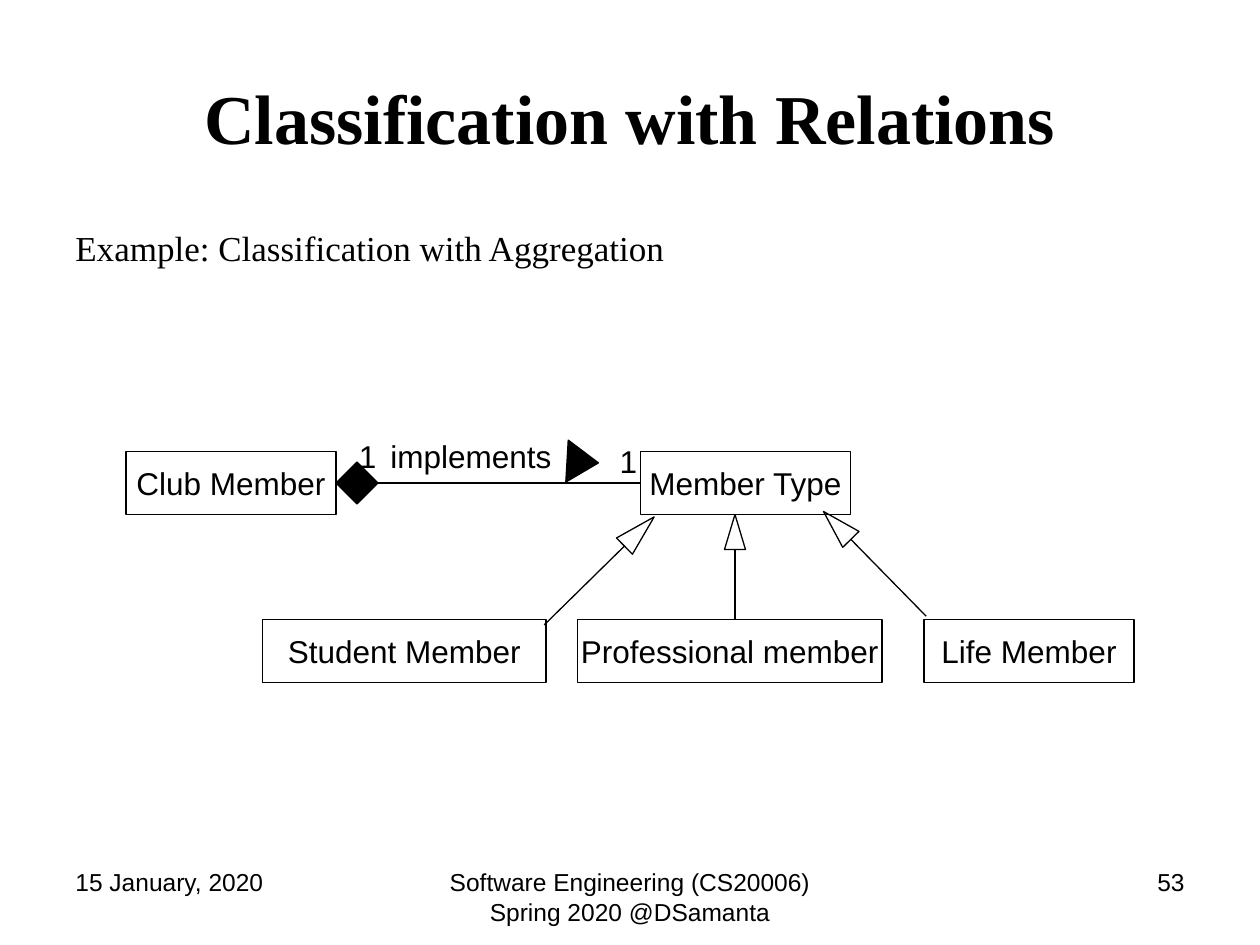
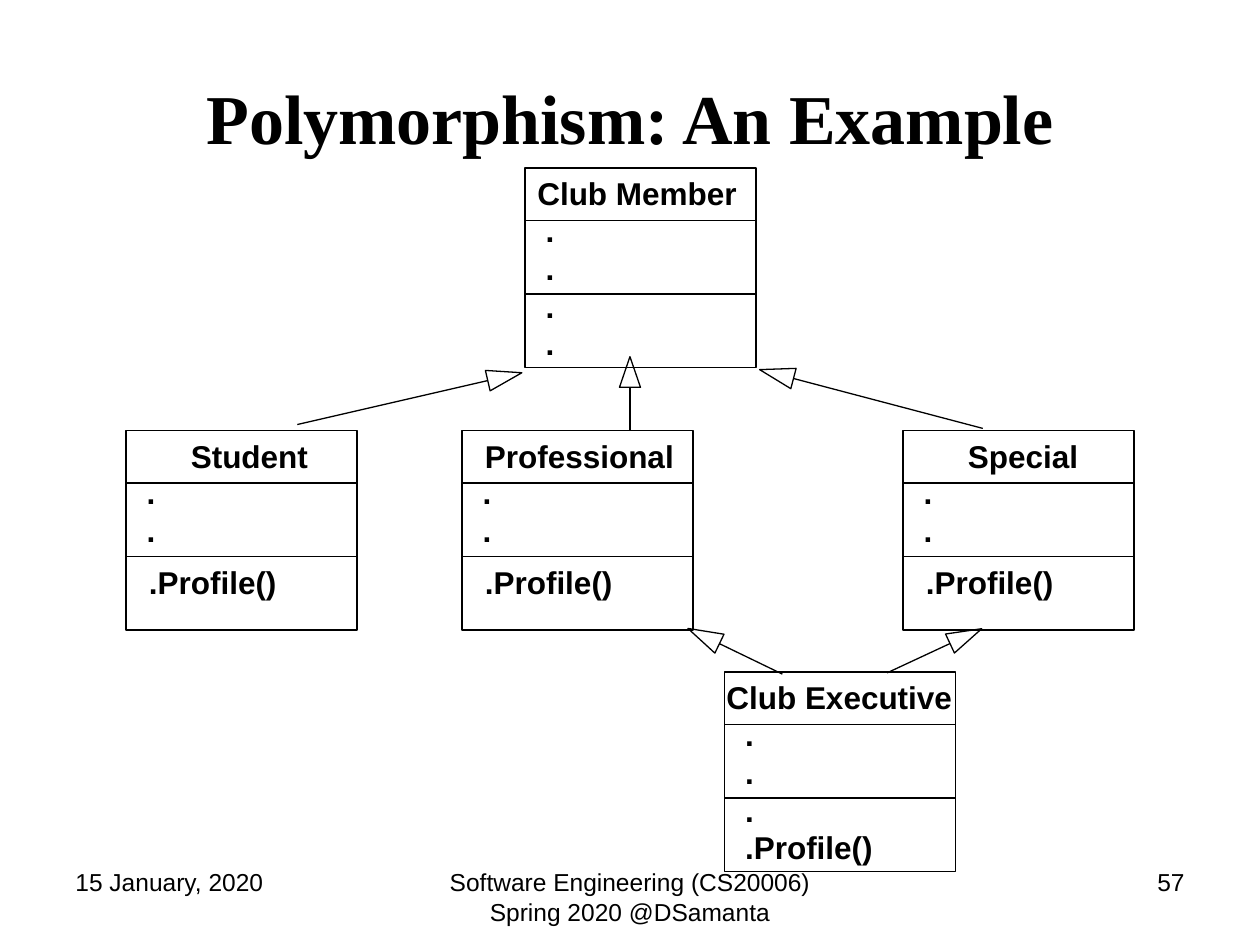
from math import atan2, degrees, hypot

from lxml.etree import SubElement
from pptx import Presentation
from pptx.dml.color import RGBColor
from pptx.enum.shapes import MSO_CONNECTOR, MSO_SHAPE
from pptx.enum.text import MSO_ANCHOR, MSO_AUTO_SIZE, PP_ALIGN
from pptx.oxml.ns import qn
from pptx.util import Pt

BLACK = RGBColor(0x00, 0x00, 0x00)
SANS, SERIF = "Arial", "Times New Roman"
LINE_WIDTH = 0.75

# Shared footer: left, width, alignment; None stands for the slide number
FOOTERS = [
    ("15 January, 2020", 36, 168, PP_ALIGN.LEFT),
    ("Software Engineering (CS20006) Spring 2020 @DSamanta", 246, 228, PP_ALIGN.CENTER),
    (None, 516, 168, PP_ALIGN.RIGHT),
]

# Relations slide: text, left, top, width
RELATION_BOXES = [
    ("Club Member", 72, 258, 120),
    ("Member Type", 366, 258, 120),
    ("Student Member", 150, 354, 162),
    ("Professional member", 330, 354, 174),
    ("Life Member", 528, 354, 120),
]
RELATION_BOX_HEIGHT = 36
# Text, left, top, width
RELATION_LABELS = [
    ("implements", 216, 246, 106.5),
    ("1", 347, 249, 24.5),
    ("1", 198, 246, 24.5),
]
# Tip, tail, head width, head length
RELATION_ARROWS = [
    ((420, 294), (420, 354), 12, 20),
    ((470.6, 292.3), (529.2, 352.1), 13, 22.3),
    ((373.8, 295.4), (311, 357.1), 13, 23.8),
]

# Polymorphism slide: name, left, top, name indent, name width, member texts
# Each member text: left offset, top offset, width, height, lines
DOTS = (4.7, 21, 19.5, 50.4, [".", "."])
PROFILE = (6, 72, 88, 29, [".Profile()"])
CLASSES = [
    ("Club Member", 300, 96, 0, 129.6, [(4.7, 21, 19.5, 93.6, ["."] * 4)]),
    ("Club Executive", 414, 384, -6, 144.7,
     [(4.7, 21, 88, 93.6, [".", ".", ".", ".Profile()"])]),
    ("Student", 72, 246, 30, 81.4, [DOTS, PROFILE]),
    ("Special", 516, 246, 30, 77.8, [DOTS, PROFILE]),
    ("Professional", 264, 246, 6, 122.4, [DOTS, PROFILE]),
]
CLASS_WIDTH, CLASS_HEIGHT = 132, 114
CLASS_DIVIDERS = (30, 72)
CLASS_ARROWS = [
    ((298.2, 213), (169.9, 242.6), 12, 20),
    ((393.1, 359.1), (447.1, 385.2), 12, 20),
    ((434.1, 211.2), (561.6, 244.8), 12, 20),
    ((360, 203.8), (360, 246), 12, 17.5),
    ((561, 359.3), (506.9, 384.5), 12, 20),
]


def write(shape, lines, size, font=SANS, bold=False, align=PP_ALIGN.LEFT):
    frame = shape.text_frame
    frame.text = "\n".join(lines)
    for para in frame.paragraphs:
        para.alignment = align
        for span in para.runs:
            span.font.size = Pt(size)
            span.font.name = font
            span.font.bold = bold
            span.font.color.rgb = BLACK
    return frame


def add_text(page, lines, left, top, width, height, size, **style):
    box = page.shapes.add_textbox(Pt(left), Pt(top), Pt(width), Pt(height))
    frame = write(box, lines, size, **style)
    frame.word_wrap = True
    return frame


def add_label(page, lines, left, top, width, height=29, bold=False):
    frame = add_text(page, lines, left, top, width, height, 18, bold=bold)
    frame.word_wrap = False
    frame.auto_size = MSO_AUTO_SIZE.SHAPE_TO_FIT_TEXT


def add_outline(page, kind, left, top, width, height, filled=False):
    shape = page.shapes.add_shape(kind, Pt(left), Pt(top), Pt(width), Pt(height))
    shape.shadow.inherit = False
    if filled:
        shape.fill.solid()
        shape.fill.fore_color.rgb = BLACK
    else:
        shape.fill.background()
    shape.line.color.rgb = BLACK
    shape.line.width = Pt(LINE_WIDTH)
    return shape


def add_line(page, start, end):
    points = [Pt(value) for value in (*start, *end)]
    line = page.shapes.add_connector(MSO_CONNECTOR.STRAIGHT, *points)
    line.line.color.rgb = BLACK
    line.line.width = Pt(LINE_WIDTH)
    SubElement(line._element.spPr, qn("a:effectLst"))


def add_generalization(page, tip, tail, width, length):
    """Hollow triangle at the tip, turned along the line to the tail."""
    across, down = tail[0] - tip[0], tail[1] - tip[1]
    distance = hypot(across, down)
    step_x, step_y = across / distance, down / distance
    center_x = tip[0] + step_x * length / 2
    center_y = tip[1] + step_y * length / 2
    head = add_outline(page, MSO_SHAPE.FLOWCHART_EXTRACT, center_x - width / 2,
                       center_y - length / 2, width, length)
    head.rotation = degrees(atan2(-across, down))
    add_line(page, (tip[0] + step_x * length, tip[1] + step_y * length), tail)


def add_page(deck, title, number):
    page = deck.slides.add_slide(deck.slide_layouts[6])
    frame = add_text(page, [title], 36, 21.6, 648, 90, 40, font=SERIF,
                     bold=True, align=PP_ALIGN.CENTER)
    frame.vertical_anchor = MSO_ANCHOR.MIDDLE
    for text, left, width, align in FOOTERS:
        add_text(page, [text or str(number)], left, 492, width, 37.5, 14, align=align)
    return page


def add_class(page, name, left, top, indent, name_width, members):
    add_outline(page, MSO_SHAPE.RECTANGLE, left, top, CLASS_WIDTH, CLASS_HEIGHT)
    for offset in CLASS_DIVIDERS:
        add_line(page, (left, top + offset), (left + CLASS_WIDTH, top + offset))
    add_label(page, [name], left + indent, top, name_width, bold=True)
    for right, down, width, height, lines in members:
        add_label(page, lines, left + right, top + down, width, height, bold=True)


def build_relations(deck):
    page = add_page(deck, "Classification with Relations", 53)
    frame = add_text(page, ["Example: Classification with Aggregation"],
                     36, 126, 648, 356, 20, font=SERIF, align=PP_ALIGN.JUSTIFY)
    frame.paragraphs[0].space_before = Pt(4)

    # Class boxes
    for text, left, top, width in RELATION_BOXES:
        box = add_outline(page, MSO_SHAPE.RECTANGLE, left, top, width, RELATION_BOX_HEIGHT)
        frame = write(box, [text], 18, align=PP_ALIGN.CENTER)
        frame.word_wrap = False
        frame.vertical_anchor = MSO_ANCHOR.MIDDLE

    # Aggregation with its reading direction
    add_line(page, (216, 276), (366, 276))
    add_outline(page, MSO_SHAPE.FLOWCHART_DECISION, 192, 264, 24, 24, filled=True)
    direction = add_outline(page, MSO_SHAPE.FLOWCHART_EXTRACT, 321, 255, 24, 18, filled=True)
    direction.rotation = 93.3
    for text, left, top, width in RELATION_LABELS:
        add_label(page, [text], left, top, width)

    for arrow in RELATION_ARROWS:
        add_generalization(page, *arrow)


def build_polymorphism(deck):
    page = add_page(deck, "Polymorphism: An Example", 57)
    for entry in CLASSES:
        add_class(page, *entry)
    for arrow in CLASS_ARROWS:
        add_generalization(page, *arrow)


def main():
    deck = Presentation()
    deck.slide_width, deck.slide_height = Pt(720), Pt(540)
    build_relations(deck)
    build_polymorphism(deck)
    deck.save("out.pptx")


if __name__ == "__main__":
    main()
